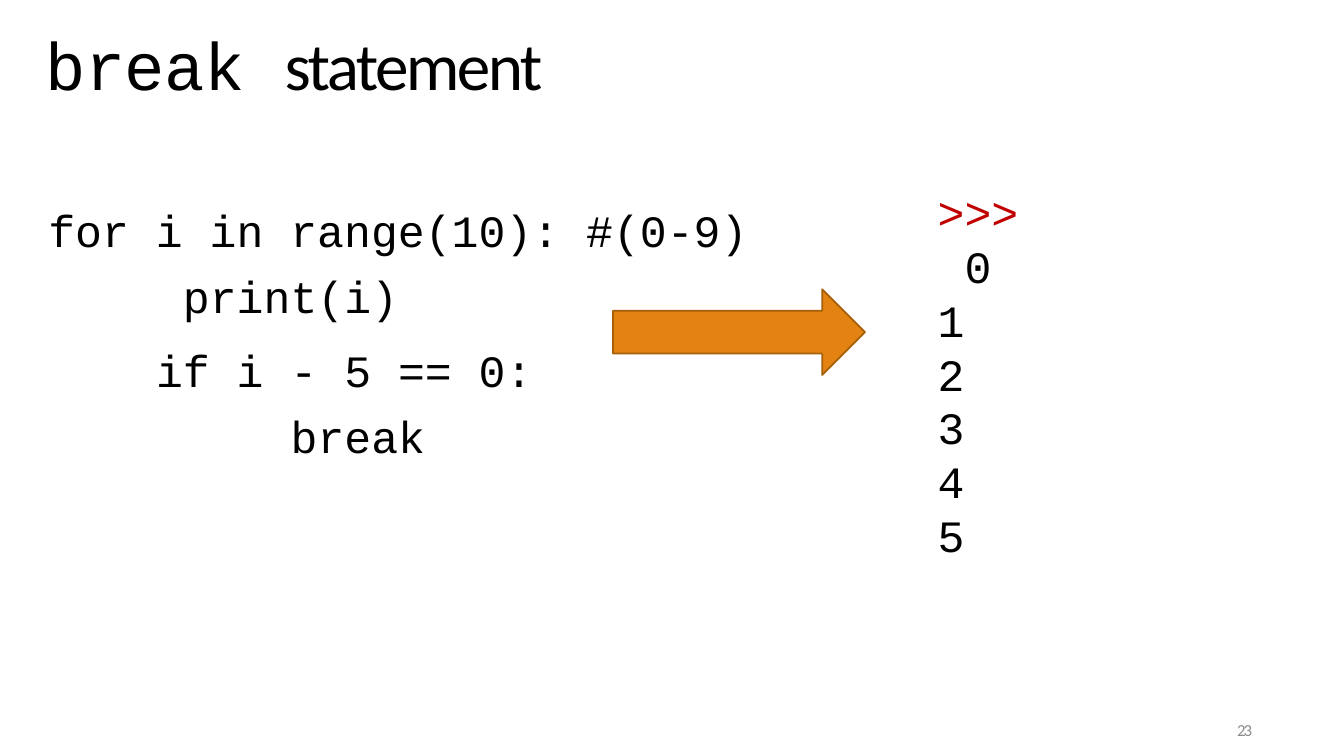
from pptx import Presentation
from pptx.dml.color import RGBColor
from pptx.enum.shapes import MSO_SHAPE
from pptx.enum.text import MSO_ANCHOR, PP_ALIGN
from pptx.util import Inches, Pt

MONO, SANS = "Courier New", "Calibri"
BLACK, RED, GREY = "000000", "C00000", "8C8C8C"
CHAR = 0.267  # width of one code character, in inches


def style(font, name, size, color):
    """Set the name, size and colour of a font."""
    font.name, font.size, font.bold = name, Pt(size), False
    font.color.rgb = RGBColor.from_string(color)


def frame(shape, left, top, width, height, anchor=MSO_ANCHOR.TOP):
    """Place a text shape without margins and return its text frame."""
    shape.left, shape.top = Inches(left), Inches(top)
    shape.width, shape.height = Inches(width), Inches(height)
    text = shape.text_frame
    text.margin_left = text.margin_right = 0
    text.margin_top = text.margin_bottom = 0
    text.word_wrap, text.vertical_anchor = True, anchor
    return text


deck = Presentation()
deck.slide_width, deck.slide_height = Inches(13.33), Inches(7.5)
slide = deck.slides.add_slide(deck.slide_layouts[5])
shapes = slide.shapes

# Title
title = frame(shapes.title, 0.45, 0.22, 5.09, 0.83, MSO_ANCHOR.MIDDLE)
head = title.paragraphs[0]
head.alignment = PP_ALIGN.LEFT
for word, name, space in (("break ", MONO, -40), ("statement", SANS, -180)):
    run = head.add_run()
    run.text = word
    style(run.font, name, 48, BLACK)
    run.font._element.set("spc", str(space))

# Code and its output: text, indent in characters, space before, colour
code = [("for i in range(10): #(0-9)", 0, 0, BLACK), ("print(i)", 5, 0, BLACK),
        ("if i - 5 == 0:", 4, 6, BLACK), ("break", 9, 0, BLACK)]
output = [(">>>", 0, 0, RED), ("0", 1, 0, BLACK)]
output += [(str(n), 0, 0, BLACK) for n in range(1, 6)]

for lines, place, pitch in ((code, (0.48, 1.89, 7.2, 2.76), 47),
                            (output, (9.3, 1.83, 0.9, 3.76), 38.5)):
    text = frame(shapes.add_textbox(0, 0, 0, 0), *place)
    for i, (line, indent, gap, color) in enumerate(lines):
        para = text.paragraphs[0] if i == 0 else text.add_paragraph()
        para.text = line
        para.line_spacing, para.space_before = Pt(pitch), Pt(gap)
        para._p.get_or_add_pPr().set("marL", str(Inches(indent * CHAR)))
        style(para.font, MONO, 32, color)

# Arrow from code to output
arrow = shapes.add_shape(MSO_SHAPE.RIGHT_ARROW, Inches(6.08), Inches(2.87),
                         Inches(2.5), Inches(0.85))
arrow.shadow.inherit = False
arrow.fill.solid()
arrow.fill.fore_color.rgb = RGBColor.from_string("E38312")
arrow.line.color.rgb = RGBColor.from_string("A75F09")
arrow.line.width = Pt(1.25)

# Slide number
number = frame(shapes.add_textbox(0, 0, 0, 0), 9.42, 7.04, 3, 0.4,
               MSO_ANCHOR.MIDDLE).paragraphs[0]
run = number.add_run()
run.text = "23"
number.alignment = PP_ALIGN.RIGHT
style(number.font, SANS, 12, GREY)
run.font._element.set("spc", "-130")

deck.save("out.pptx")
